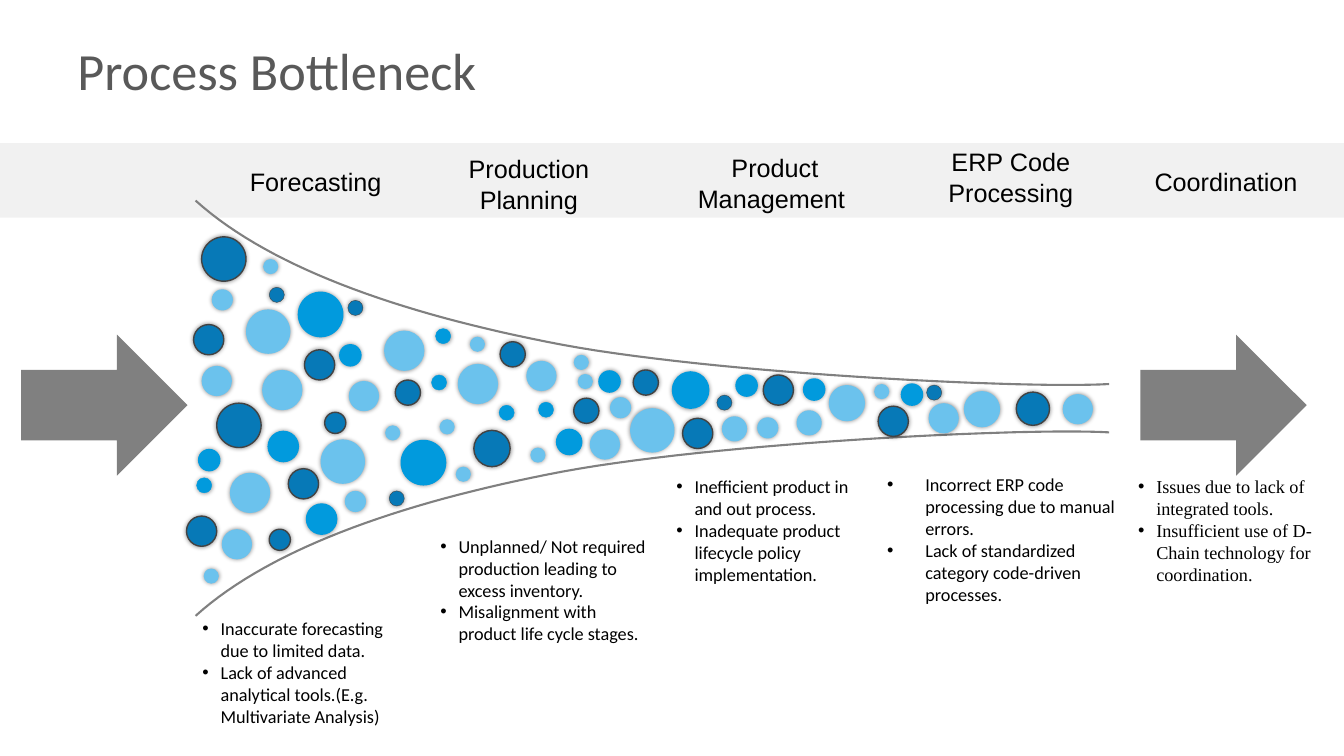
from lxml.etree import SubElement
from pptx import Presentation
from pptx.dml.color import RGBColor
from pptx.enum.shapes import MSO_SHAPE
from pptx.enum.text import MSO_ANCHOR, PP_ALIGN
from pptx.oxml.ns import qn
from pptx.util import Inches, Pt

WHITE = RGBColor(0xFF, 0xFF, 0xFF)
BLACK = RGBColor(0x00, 0x00, 0x00)
TITLE_GRAY = RGBColor(0x59, 0x59, 0x59)
BAND_GRAY = RGBColor(0xD9, 0xD9, 0xD9)
GRAY = RGBColor(0x80, 0x80, 0x80)
LIGHT_BLUE = RGBColor(0x6B, 0xC2, 0xED)
BLUE = RGBColor(0x01, 0x9A, 0xDD)
DARK_BLUE = RGBColor(0x07, 0x79, 0xB7)
DARK_LINE = RGBColor(0x43, 0x43, 0x43)

FUNNEL_WALL = [
    (10, 1.81), (9.15, 1.86), (5.93, 1.7), (4.42, 1.39),
    (2.91, 1.09), (1.66, 0.64), (0.94, -0.01),
]

BUBBLES = [
    (LIGHT_BLUE, None, {
        0.44: [(2.18, 2.36), (1.44, 1.07), (5.25, 2.05)],
        0.4: [(1.6, 1.67), (3.54, 1.61), (2.81, 1.28), (1.28, 2.69)],
        0.36: [(7.22, 1.82), (8.56, 1.88)],
        0.3: [(4.22, 1.58), (2.46, 1.78), (1, 1.63), (1.2, 3.25),
              (4.85, 2.26), (8.21, 2), (9.54, 1.91)],
        0.25: [(6.16, 2.13), (6.9, 2.07)],
        0.21: [(2.42, 2.87), (1.1, 0.87), (5.05, 1.94), (6.51, 2.14)],
        0.15: [(3.36, 2.16), (4.26, 2.44), (2.82, 2.22), (3.52, 2.63), (3.66, 1.34),
               (1.61, 0.57), (1.02, 3.64), (4.69, 1.52), (4.73, 1.71), (7.67, 1.81)],
    }),
    (BLUE, BLUE, {
        0.44: [(1.96, 0.9), (2.98, 2.37)],
        0.36: [(5.67, 1.69)],
        0.3: [(1.66, 2.28), (2.04, 3)],
        0.25: [(4.52, 2.26)],
        0.21: [(2.37, 1.42), (0.97, 2.46), (6.3, 1.72), (4.94, 1.68),
               (7.94, 1.81), (6.97, 1.76)],
        0.15: [(4.34, 1.99), (3.32, 1.26), (3.95, 2.02), (3.28, 1.72), (0.95, 2.74)],
    }),
    (DARK_BLUE, DARK_LINE, {
        0.44: [(1, 0.35), (1.15, 2)],
        0.36: [(3.7, 2.27)],
        0.33: [(9.08, 1.89)],
        0.3: [(2.02, 1.47), (0.92, 1.22), (1.86, 2.65), (0.85, 3.12),
              (5.77, 2.15), (7.71, 2.03), (6.57, 1.72)],
        0.25: [(2.92, 1.77), (3.96, 1.39), (5.28, 1.67), (4.69, 1.95)],
        0.21: [(2.22, 2.09), (1.67, 3.25)],
        0.15: [(2.86, 2.87), (2.45, 0.98), (1.67, 0.85), (6.11, 1.92), (8.19, 1.82)],
    }),
]

HEADINGS = [
    ("Forecasting ", 2.17, 0.02, 1.99),
    ("Production Planning", 4.29, 0.04, 1.91),
    ("Product Management ", 6.69, 0.03, 1.99),
    ("ERP Code Processing", 9.08, -0.03, 1.89),
    ("Coordination", 10.98, 0.02, 2.36),
]

ISSUES = [
    ((1.91, 6.08, 1.99, 1.23), 0.18, "Calibri",
     ["Inaccurate forecasting due to limited data.",
      "Lack of advanced analytical tools.(E.g. Multivariate Analysis)"]),
    ((4.27, 5.26, 2.34, 1.23), 0.18, "Calibri",
     ["Unplanned/ Not required production leading to excess inventory.",
      "Misalignment with product life cycle stages."]),
    ((6.61, 4.67, 1.99, 1.23), 0.18, "Calibri",
     ["Inefficient product in and out process.",
      "Inadequate product lifecycle policy implementation."]),
    ((8.7, 4.65, 2.53, 1.23), 0.38, "Calibri",
     ["Incorrect ERP code processing due to manual errors.",
      "Lack of standardized category code-driven processes."]),
    ((11.19, 4.67, 1.99, 1.23), 0.18, "Times New Roman",
     ["Issues due to lack of integrated tools.",
      "Insufficient use of D-Chain technology for coordination."]),
]


def add_text(slide, box, lines, size=13, font="Calibri", color=BLACK,
             align=PP_ALIGN.LEFT, anchor=MSO_ANCHOR.TOP, hanging=None):
    """Add a text box with one paragraph per line, bulleted when hanging is given."""
    frame = slide.shapes.add_textbox(*map(Inches, box)).text_frame
    frame.word_wrap = True
    frame.vertical_anchor = anchor
    for index, line in enumerate(lines):
        paragraph = frame.add_paragraph() if index else frame.paragraphs[0]
        paragraph.alignment = align
        if hanging:
            properties = paragraph._p.get_or_add_pPr()
            properties.set("marL", str(Inches(hanging)))
            properties.set("indent", str(-Inches(hanging)))
            SubElement(properties, qn("a:buFont"), typeface="Arial")
            SubElement(properties, qn("a:buChar"), char="•")
        run = paragraph.add_run()
        run.text = line
        run.font.size = Pt(size)
        run.font.name = font
        run.font.color.rgb = color


def add_filled(slide, kind, box, fill, line=None, width=1):
    """Add a preset shape with a plain fill and an optional outline."""
    shape = slide.shapes.add_shape(kind, *map(Inches, box))
    shape.shadow.inherit = False
    shape.fill.solid()
    shape.fill.fore_color.rgb = fill
    if line is None:
        shape.line.fill.background()
    else:
        shape.line.color.rgb = line
        shape.line.width = Pt(width)
    return shape


def add_glow(shape):
    """Give a shape a soft black shadow on all sides."""
    effects = shape._element.spPr.find(qn("a:effectLst"))
    shadow = SubElement(effects, qn("a:outerShdw"), blurRad=str(Pt(3)), dist="0",
                        dir="0", algn="ctr", rotWithShape="0")
    color = SubElement(shadow, qn("a:srgbClr"), val=str(BLACK))
    SubElement(color, qn("a:alpha"), val="40000")


def curve_points(controls, steps=30):
    """Return points along a chain of cubic Bezier curves."""
    points = [controls[0]]
    for start in range(0, len(controls) - 1, 3):
        segment = controls[start:start + 4]
        for step in range(1, steps + 1):
            t = step / steps
            weights = ((1 - t) ** 3, 3 * t * (1 - t) ** 2, 3 * t * t * (1 - t), t ** 3)
            points.append(tuple(sum(weight * point[axis] for weight, point in zip(weights, segment))
                                for axis in (0, 1)))
    return points


def add_wall(slide, points):
    """Draw one open funnel wall through the points."""
    first, *rest = [(Inches(x), Inches(y)) for x, y in points]
    builder = slide.shapes.build_freeform(*first)
    builder.add_line_segments(rest, close=False)
    wall = builder.convert_to_shape()
    wall.shadow.inherit = False
    wall.fill.background()
    wall.line.color.rgb = GRAY
    wall.line.width = Pt(1.5)


def add_funnel(slide, box):
    """Draw the two mirrored funnel walls and the bubbles between them."""
    left, top, width, height = box
    curve = curve_points(FUNNEL_WALL)
    add_wall(slide, [(left + x, top + y) for x, y in curve])
    add_wall(slide, [(left + x, top + height - y) for x, y in curve])
    for fill, line, sizes in BUBBLES:
        for size, places in sizes.items():
            for x, y in places:
                bubble = add_filled(slide, MSO_SHAPE.OVAL, (left + x, top + y, size, size),
                                    fill, line, 0.25 if size == 0.15 else 1)
                add_glow(bubble)


def add_stage_band(slide, box):
    """Draw the translucent band with the stage headings."""
    left, top, width, height = box
    band = add_filled(slide, MSO_SHAPE.RECTANGLE, box, BAND_GRAY)
    color = band._element.spPr.find(qn("a:solidFill"))[0]
    SubElement(color, qn("a:alpha"), val="36000")
    for heading, x, y, heading_width in HEADINGS:
        add_text(slide, (left + x, top + y, heading_width, 0.73), [heading], size=18,
                 font="Arial", align=PP_ALIGN.CENTER, anchor=MSO_ANCHOR.MIDDLE)


def add_flow_arrows(slide, box):
    """Draw the arrows at the left and right ends of the box."""
    left, top, width, height = box
    arrow_width = 1.65
    for x in (left, left + width - arrow_width):
        add_filled(slide, MSO_SHAPE.RIGHT_ARROW, (x, top, arrow_width, height), GRAY)


def main():
    """Build and save the process bottleneck slide."""
    presentation = Presentation()
    presentation.slide_width = Inches(13.33)
    presentation.slide_height = Inches(7.5)
    slide = presentation.slides.add_slide(presentation.slide_layouts[6])
    slide.background.fill.solid()
    slide.background.fill.fore_color.rgb = WHITE
    add_stage_band(slide, (0, 1.42, 13.33, 0.74))
    add_text(slide, (0.67, 0.3, 12, 0.78), ["Process Bottleneck"], size=37.3,
             color=TITLE_GRAY, anchor=MSO_ANCHOR.MIDDLE)
    add_funnel(slide, (1, 2, 10, 4.1))
    add_flow_arrows(slide, (0.21, 3.32, 12.75, 1.4))
    for box, hanging, font, lines in ISSUES:
        add_text(slide, box, lines, font=font, hanging=hanging)
    presentation.save("out.pptx")


if __name__ == "__main__":
    main()
